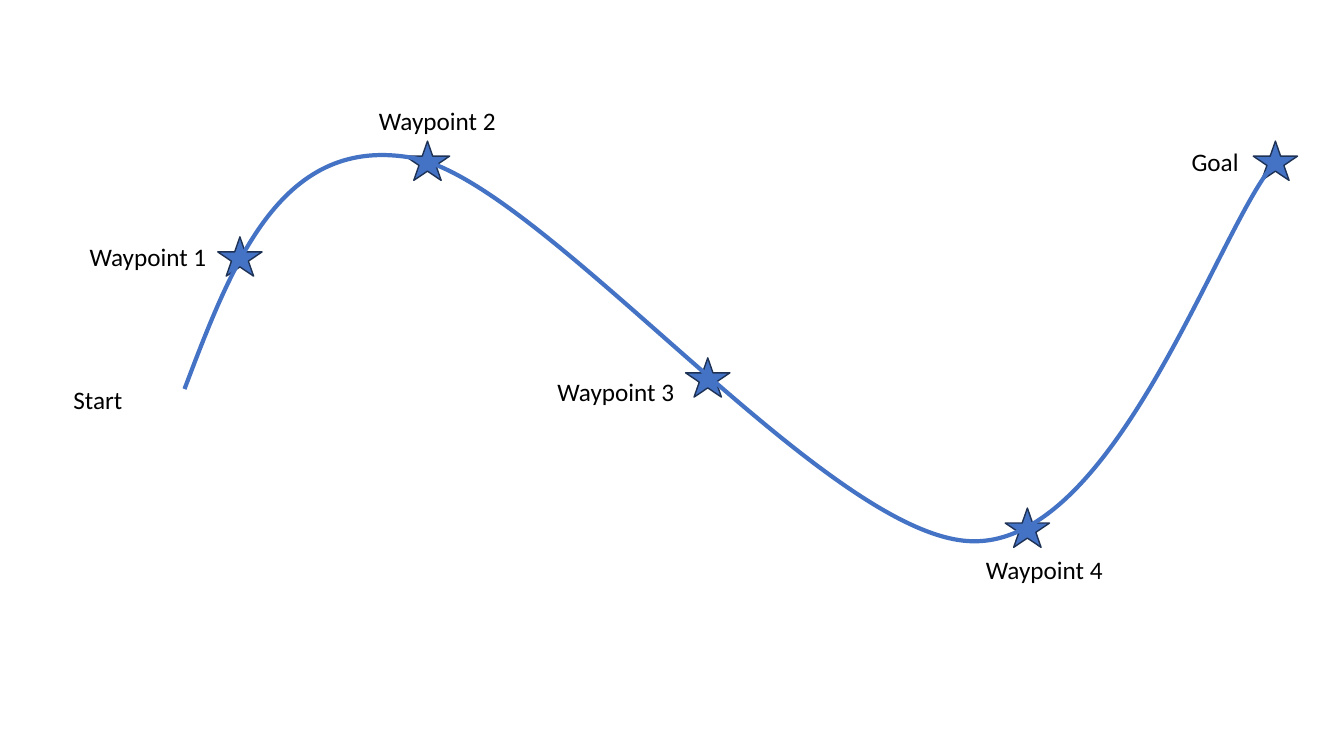
import lxml.etree
import pptx
import pptx.dml.color
import pptx.enum.shapes
import pptx.enum.text
import pptx.oxml.ns
import pptx.util

PX = 9144  # EMU per px, 100 px to the inch
SLIDE_SIZE = (1333, 750)
STAR_SIZE = (44, 39)
LABEL_HEIGHT = 40
COLORS = {"blue": "4472C4", "outline": "1E3256", "text": "000000"}

STARS = [(216, 235), (402, 140), (680, 355), (997, 504), (1243, 140)]

# text, left, top, width
LABELS = [
    ("Start", 63, 376, 69),
    ("Goal", 1172, 140, 67),
    ("Waypoint 1", 79, 234, 137),
    ("Waypoint 2", 366, 100, 137),
    ("Waypoint 3", 543, 368, 137),
    ("Waypoint 4", 968, 545, 137),
]

ROUTE_START = (183, 386)
# first control point, second control point, end point
ROUTE_CURVES = [
    ((231, 259), (280, 132), (411, 157)),
    ((541, 183), (823, 537), (966, 537)),
    ((1108, 538), (1210, 221), (1265, 161)),
]


def color(name):
    return pptx.dml.color.RGBColor.from_string(COLORS[name])


def emu(*lengths):
    return [length * PX for length in lengths]


def add_star(slide, left, top):
    star = slide.shapes.add_shape(
        pptx.enum.shapes.MSO_SHAPE.STAR_5_POINT, *emu(left, top, *STAR_SIZE))
    star.shadow.inherit = False
    star.fill.solid()
    star.fill.fore_color.rgb = color("blue")
    star.line.color.rgb = color("outline")
    star.line.width = pptx.util.Pt(1)


def add_route(slide):
    """Draw the route through its end points, then bend each segment."""
    ends = [curve[-1] for curve in ROUTE_CURVES]
    builder = slide.shapes.build_freeform(*ROUTE_START, scale=PX)
    builder.add_line_segments(ends, close=False)
    route = builder.convert_to_shape()
    route.shadow.inherit = False
    route.fill.background()
    route.line.color.rgb = color("blue")
    route.line.width = pptx.util.Pt(3)

    left, top = (min(values) for values in zip(ROUTE_START, *ends))
    qn = pptx.oxml.ns.qn
    segments = list(route._element.iter(qn("a:lnTo")))
    for segment, curve in zip(segments, ROUTE_CURVES):
        bezier = lxml.etree.Element(qn("a:cubicBezTo"))
        for x, y in curve:
            lxml.etree.SubElement(bezier, qn("a:pt"), x=str(x - left), y=str(y - top))
        segment.getparent().replace(segment, bezier)


def add_label(slide, text, left, top, width):
    label = slide.shapes.add_textbox(*emu(left, top, width, LABEL_HEIGHT))
    frame = label.text_frame
    frame.word_wrap = False
    frame.auto_size = pptx.enum.text.MSO_AUTO_SIZE.SHAPE_TO_FIT_TEXT
    frame.text = text
    font = frame.paragraphs[0].runs[0].font
    font.name = "Calibri"
    font.size = pptx.util.Pt(18)
    font.color.rgb = color("text")


def main():
    presentation = pptx.Presentation()
    presentation.slide_width, presentation.slide_height = emu(*SLIDE_SIZE)
    slide = presentation.slides.add_slide(presentation.slide_layouts[6])
    for position in STARS:
        add_star(slide, *position)
    add_route(slide)
    for label in LABELS:
        add_label(slide, *label)
    presentation.save("out.pptx")


if __name__ == "__main__":
    main()
